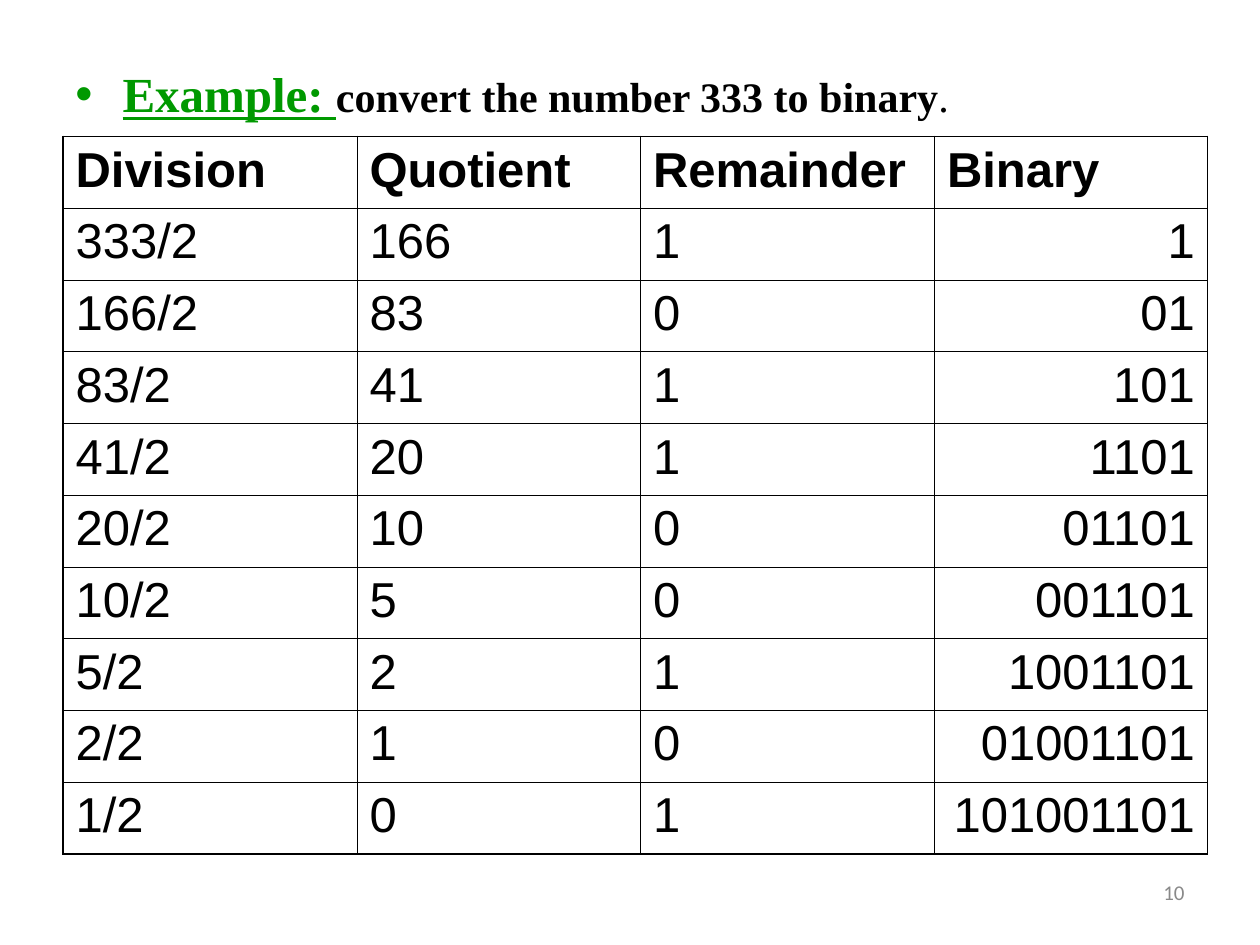
from lxml.etree import SubElement
from pptx import Presentation
from pptx.dml.color import RGBColor
from pptx.enum.text import MSO_ANCHOR, PP_ALIGN
from pptx.oxml.ns import qn
from pptx.util import Pt

BLACK = RGBColor(0x00, 0x00, 0x00)
GREEN = RGBColor(0x00, 0x99, 0x00)
GRAY = RGBColor(0x89, 0x89, 0x89)

HEADERS = ["Division", "Quotient", "Remainder", "Binary"]
COL_WIDTHS = [168, 162, 168, 156]
ROW_HEIGHT = 41
INNER_LINE = 0.45
OUTER_LINE = 1.08


def add_run(p, text, font="Arial", size=28, color=BLACK, bold=False, underline=False):
    r = p.add_run()
    r.text = text
    r.font.name = font
    r.font.size = Pt(size)
    r.font.color.rgb = color
    r.font.bold = bold
    r.font.underline = underline


def add_textbox(s, left, top, width, height, anchor=MSO_ANCHOR.TOP):
    sp = s.shapes.add_textbox(Pt(left), Pt(top), Pt(width), Pt(height))
    tf = sp.text_frame
    tf.word_wrap = True
    tf.vertical_anchor = anchor
    return tf


def set_bullet(p, char, color, indent):
    pPr = p._p.get_or_add_pPr()
    pPr.set("marL", str(Pt(indent)))
    pPr.set("indent", str(-Pt(indent)))
    clr = SubElement(pPr, qn("a:buClr"))
    SubElement(clr, qn("a:srgbClr"), val=str(color))
    SubElement(pPr, qn("a:buFont"), typeface="Arial")
    SubElement(pPr, qn("a:buChar"), char=char)


def set_borders(cell, widths):
    tcPr = cell._tc.get_or_add_tcPr()
    for side, width in widths.items():
        ln = SubElement(tcPr, qn(f"a:ln{side}"), w=str(Pt(width)))
        fill = SubElement(ln, qn("a:solidFill"))
        SubElement(fill, qn("a:srgbClr"), val=str(BLACK))


def division_rows(number):
    rows, binary = [], ""
    while number:
        quotient, remainder = divmod(number, 2)
        binary = f"{remainder}{binary}"
        rows.append([f"{number}/2", str(quotient), str(remainder), binary])
        number = quotient
    return rows


def add_title(s):
    tf = add_textbox(s, 36, 30, 648, 42)
    tf.margin_top = Pt(6.5)
    p = tf.paragraphs[0]
    set_bullet(p, "•", GREEN, 27)
    font = "Times New Roman"
    add_run(p, "Example: ", font=font, color=GREEN, bold=True, underline=True)
    add_run(p, "convert the number 333 to binary", font=font, size=24, bold=True)
    add_run(p, ".", font=font, size=24)


def add_division_table(s, rows):
    n_rows, n_cols = len(rows), len(COL_WIDTHS)
    table = s.shapes.add_table(n_rows, n_cols, Pt(36), Pt(78),
                               Pt(sum(COL_WIDTHS)), Pt(n_rows * ROW_HEIGHT)).table
    table.first_row = False
    table.horz_banding = False
    for col, width in zip(table.columns, COL_WIDTHS):
        col.width = Pt(width)
    for i, values in enumerate(rows):
        table.rows[i].height = Pt(ROW_HEIGHT)
        for j, text in enumerate(values):
            cell = table.cell(i, j)
            p = cell.text_frame.paragraphs[0]
            add_run(p, text, bold=i == 0)
            if i > 0 and j == n_cols - 1:
                p.alignment = PP_ALIGN.RIGHT
            on_edge = {"L": j == 0, "R": j == n_cols - 1,
                       "T": i == 0, "B": i == n_rows - 1}
            set_borders(cell, {side: OUTER_LINE if edge else INNER_LINE
                               for side, edge in on_edge.items()})
            cell.fill.background()


def add_page_number(s, text):
    tf = add_textbox(s, 516, 492, 168, 36, anchor=MSO_ANCHOR.MIDDLE)
    p = tf.paragraphs[0]
    p.alignment = PP_ALIGN.RIGHT
    add_run(p, text, font="Calibri", size=12, color=GRAY)


def main():
    prs = Presentation()
    prs.slide_width, prs.slide_height = Pt(720), Pt(540)
    s = prs.slides.add_slide(prs.slide_layouts[6])
    add_page_number(s, "10")
    add_title(s)
    add_division_table(s, [HEADERS] + division_rows(333))
    prs.save("out.pptx")


if __name__ == "__main__":
    main()
